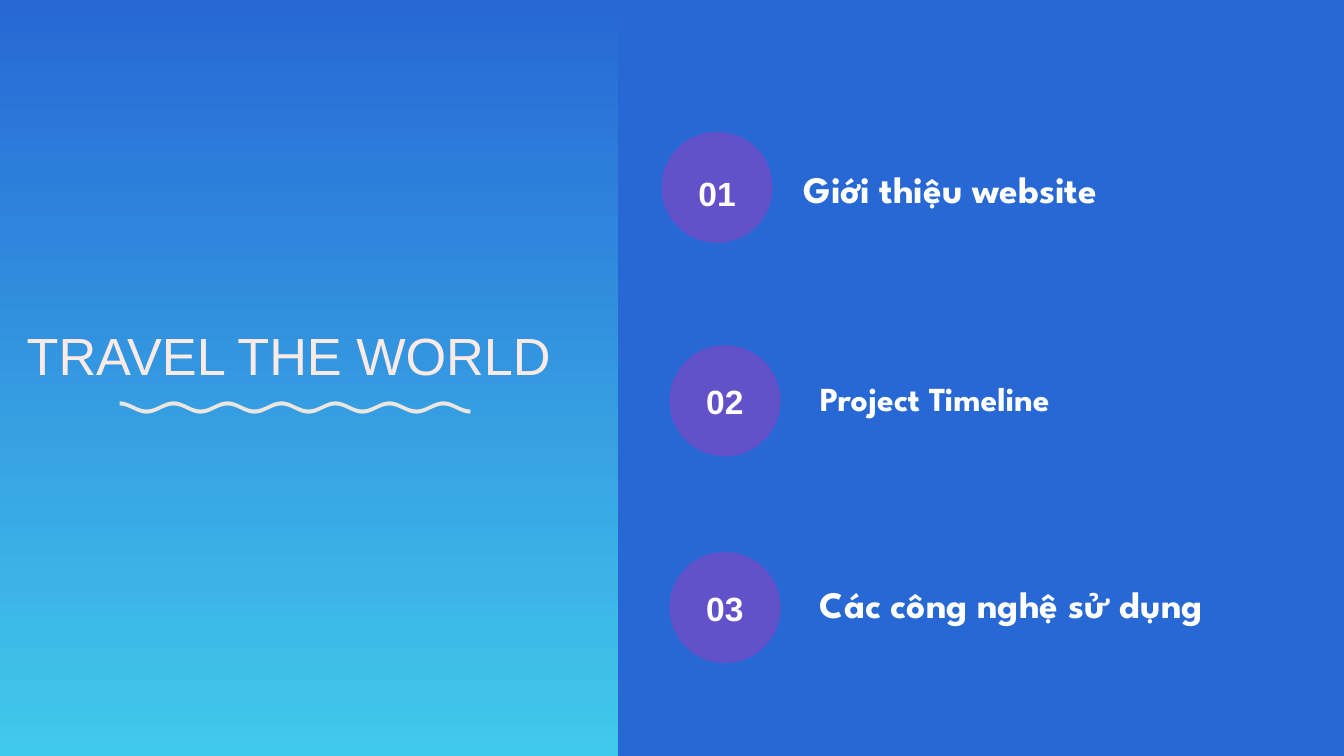
import lxml.etree
import pptx
import pptx.dml.color
import pptx.enum.shapes
import pptx.enum.text
import pptx.oxml.ns
import pptx.util

Pt = pptx.util.Pt
qn = pptx.oxml.ns.qn
ANCHOR = pptx.enum.text.MSO_ANCHOR
ALIGN = pptx.enum.text.PP_ALIGN
SHAPE = pptx.enum.shapes.MSO_SHAPE

COLORS = {
    "blue": "2768D5",
    "cyan": "41C9EB",
    "purple": "6351CA",
    "white": "FFFFFF",
    "cream": "EBE6E0",
    "blush": "FBEAE6",
}

# number, heading, size, circle left, circle top, text top, heading left, heading width
AGENDA = [
    ("01", "Giới thiệu website", 20, 354.4, 70.6, 86.9, 423.4, 193),
    ("02", "Project Timeline", 18, 358.6, 185, 198.3, 432.2, 175),
    ("03", "Các công nghệ sử dụng", 20, 358.6, 295.7, 309.4, 432.2, 246.2),
]


def rgb(name):
    return pptx.dml.color.RGBColor.from_string(COLORS[name])


def set_background(s):
    fill = s.background.fill
    fill.gradient()
    fill.gradient_angle = 270
    for stop, name in zip(fill.gradient_stops, ("blue", "cyan")):
        stop.color.rgb = rgb(name)


def paint(sp, color):
    sp.shadow.inherit = False
    sp.fill.solid()
    sp.fill.fore_color.rgb = rgb(color)
    sp.line.fill.background()


def add_block(s, kind, left, top, width, height, color):
    sp = s.shapes.add_shape(kind, Pt(left), Pt(top), Pt(width), Pt(height))
    paint(sp, color)


def add_label(s, text, box, size, font="Arial", color="white", bold=True,
              anchor=ANCHOR.MIDDLE, align=ALIGN.LEFT, wrap=True):
    tf = s.shapes.add_textbox(*(Pt(v) for v in box)).text_frame
    tf.word_wrap = wrap
    tf.vertical_anchor = anchor
    if wrap:
        tf.margin_left = tf.margin_right = Pt(7.2)
        tf.margin_top = tf.margin_bottom = Pt(7.2)
    tf.text = text
    p = tf.paragraphs[0]
    p.alignment = align
    f = p.runs[0].font
    f.name, f.size, f.bold = font, Pt(size), bold
    f.color.rgb = rgb(color)


def bend(segments):
    """Turn each three line segments into one cubic curve."""
    for first, second, third in zip(*[iter(segments)] * 3):
        curve = lxml.etree.Element(qn("a:cubicBezTo"))
        first.addprevious(curve)
        for line in (first, second, third):
            curve.append(line[0])
            line.getparent().remove(line)


def add_wave(s, left, top, width, halves, height, thickness, color):
    """Draw a ribbon of equal half waves, each edge of one curve per half."""
    step = width / halves
    edge = [(left, top)]
    for i in range(halves):
        x = left + i * step
        start, end = (top, top + height) if i % 2 == 0 else (top + height, top)
        edge += [(x + 0.36 * step, start), (x + 0.64 * step, end),
                 (x + step, end)]
    lower = [(x, y + thickness) for x, y in reversed(edge)]
    points = [(Pt(x), Pt(y)) for x, y in edge + lower]
    builder = s.shapes.build_freeform(*points[0])
    builder.add_line_segments(points[1:], close=True)
    sp = builder.convert_to_shape()
    lines = list(sp.element.iter(qn("a:lnTo")))
    count = 3 * halves
    bend(lines[:count])
    bend(lines[count + 1:2 * count + 1])
    paint(sp, color)


def add_agenda_item(s, number, heading, size, left, top, text_top,
                    heading_left, heading_width):
    add_block(s, SHAPE.OVAL, left, top, 59.5, 59.5, "purple")
    add_label(s, number, (left + 6, text_top, 47.5, 33.1), 18,
              align=ALIGN.CENTER)
    add_label(s, heading, (heading_left, text_top, heading_width, 33.1), size,
              font="League Spartan", anchor=ANCHOR.BOTTOM)


def main():
    prs = pptx.Presentation()
    prs.slide_width, prs.slide_height = Pt(720), Pt(405)
    s = prs.slides.add_slide(prs.slide_layouts[6])
    set_background(s)
    add_block(s, SHAPE.RECTANGLE, 331.2, 0, 388.8, 405, "blue")
    for item in AGENDA:
        add_agenda_item(s, *item)
    add_wave(s, 64.1, 215, 187.9, 13, 4.4, 2.2, "cream")
    add_label(s, "TRAVEL THE WORLD", (7.2, 169.5, 301.7, 41), 28,
              color="blush", bold=False, anchor=ANCHOR.TOP, wrap=False)
    prs.save("out.pptx")


if __name__ == "__main__":
    main()
